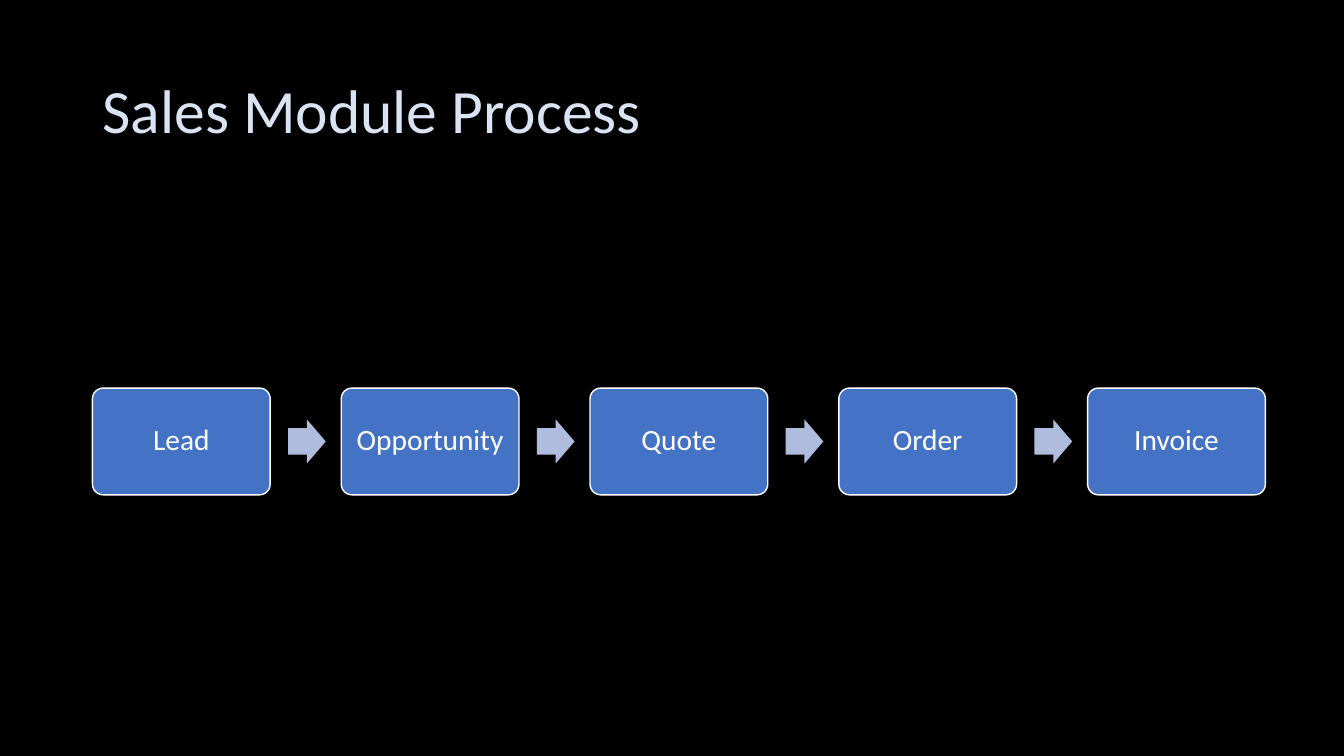
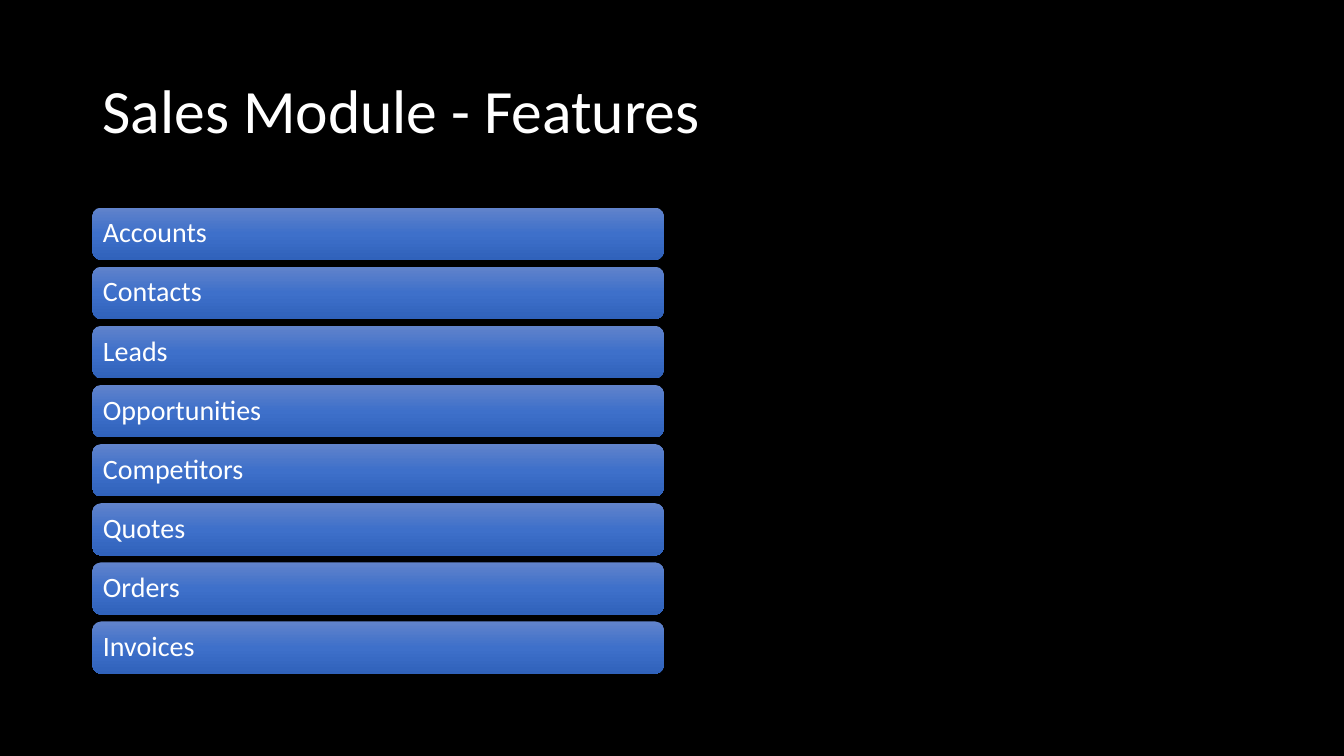
from lxml import etree
from pptx import Presentation
from pptx.dml.color import RGBColor
from pptx.enum import shapes, text
from pptx.oxml import ns
from pptx.util import Cm, Pt

PROCESS_TITLE = "Sales Module Process"
STEPS = ["Lead", "Opportunity", "Quote", "Order", "Invoice"]
FEATURES_TITLE = "Sales Module - Features"
FEATURES = ["Accounts", "Contacts", "Leads", "Opportunities",
            "Competitors", "Quotes", "Orders", "Invoices"]

FONT = "Calibri"
BLACK = RGBColor(0x00, 0x00, 0x00)
WHITE = RGBColor(0xFF, 0xFF, 0xFF)
PALE_BLUE = RGBColor(0xDA, 0xE3, 0xF3)
BLUE = RGBColor(0x44, 0x72, 0xC4)
ARROW_BLUE = RGBColor(0xB0, 0xBC, 0xDE)
BAR_STOPS = [(0, RGBColor(0x61, 0x83, 0xCB)),
             (50, RGBColor(0x3E, 0x70, 0xCA)),
             (100, RGBColor(0x30, 0x62, 0xBB))]

LEFT = 2.33
STEP_TOP, STEP_W, STEP_H, STEP_PITCH = 9.78, 4.48, 2.69, 6.27
ARROW_W, ARROW_H, ARROW_GAP = 0.95, 1.11, 0.45
BAR_TOP, BAR_W, BAR_H, BAR_PITCH = 5.23, 14.4, 1.32, 1.49


def write(shape, words, size, color, align):
    tf = shape.text_frame
    tf.text = words
    tf.word_wrap = True
    tf.vertical_anchor = text.MSO_ANCHOR.MIDDLE
    p = tf.paragraphs[0]
    p.alignment = align
    p.line_spacing = 0.9
    p.font.name = FONT
    p.font.size = Pt(size)
    p.font.color.rgb = color


def add_titled_slide(title, color):
    s = prs.slides.add_slide(prs.slide_layouts[5])
    sp = s.shapes.title
    sp.left, sp.top, sp.width, sp.height = Cm(LEFT), Cm(1.01), Cm(29.21), Cm(3.68)
    write(sp, title, 44, color, text.PP_ALIGN.LEFT)
    return s


def add_shape(s, kind, left, top, width, height):
    sp = s.shapes.add_shape(kind, Cm(left), Cm(top), Cm(width), Cm(height))
    sp.shadow.inherit = False
    sp.line.fill.background()
    return sp


def add_box(s, left, top, width, height, words, size, align, inset):
    sp = add_shape(s, shapes.MSO_SHAPE.ROUNDED_RECTANGLE, left, top, width, height)
    write(sp, words, size, WHITE, align)
    tf = sp.text_frame
    tf.margin_left = tf.margin_right = tf.margin_top = tf.margin_bottom = Cm(inset)
    return sp


def fill_gradient(sp, stops):
    sp.fill.gradient()
    sp.fill.gradient_angle = 270
    gs_list = sp.element.spPr.find(".//" + ns.qn("a:gsLst"))
    for gs in list(gs_list):
        gs_list.remove(gs)
    for percent, color in stops:
        gs = etree.SubElement(gs_list, ns.qn("a:gs"), pos=str(percent * 1000))
        etree.SubElement(gs, ns.qn("a:srgbClr"), val=str(color))


prs = Presentation()
prs.slide_width, prs.slide_height = Cm(33.87), Cm(19.05)
background = prs.slide_master.background.fill
background.solid()
background.fore_color.rgb = BLACK

s = add_titled_slide(PROCESS_TITLE, PALE_BLUE)
for i, step in enumerate(STEPS):
    left = LEFT + i * STEP_PITCH
    box = add_box(s, left, STEP_TOP, STEP_W, STEP_H, step, 21, text.PP_ALIGN.CENTER, 0.23)
    box.adjustments[0] = 0.1
    box.fill.solid()
    box.fill.fore_color.rgb = BLUE
    box.line.color.rgb = WHITE
    box.line.width = Pt(1)
    if i < len(STEPS) - 1:
        arrow = add_shape(s, shapes.MSO_SHAPE.RIGHT_ARROW, left + STEP_W + ARROW_GAP,
                          STEP_TOP + (STEP_H - ARROW_H) / 2, ARROW_W, ARROW_H)
        arrow.adjustments[0] = 0.6
        arrow.fill.solid()
        arrow.fill.fore_color.rgb = ARROW_BLUE

s = add_titled_slide(FEATURES_TITLE, WHITE)
for i, feature in enumerate(FEATURES):
    bar = add_box(s, LEFT, BAR_TOP + i * BAR_PITCH, BAR_W, BAR_H, feature, 20,
                  text.PP_ALIGN.LEFT, 0.2)
    fill_gradient(bar, BAR_STOPS)

prs.save("out.pptx")
